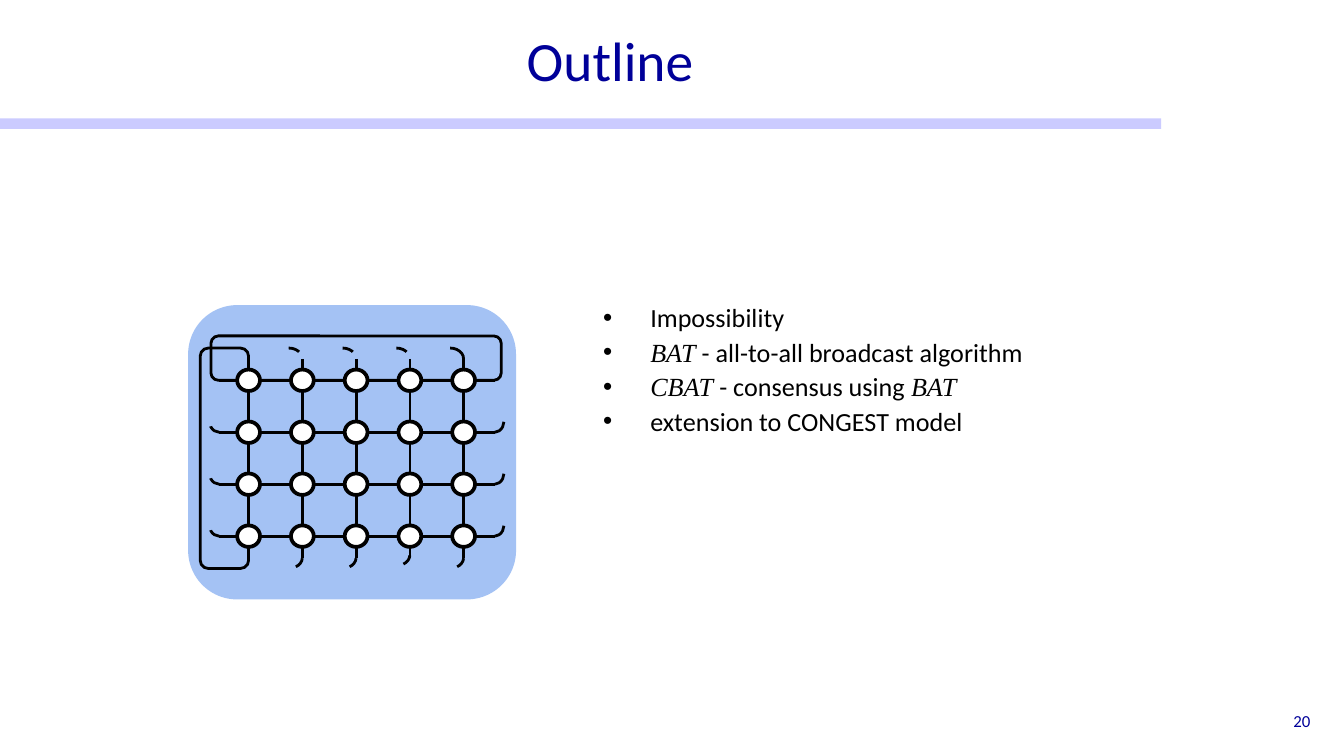
from dataclasses import dataclass
from typing import Any

from lxml.etree import SubElement
from pptx import Presentation
from pptx.dml.color import RGBColor
from pptx.enum.dml import MSO_LINE as Dash
from pptx.enum.shapes import MSO_CONNECTOR as Link, MSO_SHAPE as Kind
from pptx.enum.text import MSO_ANCHOR as Anchor, MSO_AUTO_SIZE as Fit, PP_ALIGN as Align
from pptx.oxml.ns import qn
from pptx.util import Inches, Pt

NAVY, BLACK, WHITE = "000099", "000000", "FFFFFF"
SANS, SERIF = "Calibri", "Times New Roman"
COLUMNS = [1.85 + 0.4 * column for column in range(5)]
ROWS = [2.83 + (3.99 - 2.83) / 3 * row for row in range(4)]
NODE_W, NODE_H = 0.17, 0.16
HALF_W, HALF_H = NODE_W / 2, NODE_H / 2
ARC_UNITS_PER_DEGREE = 0.6


@dataclass(frozen=True)
class Area:
    left: float
    top: float
    width: float
    height: float

    def lengths(self) -> list[int]:
        return [Inches(n) for n in (self.left, self.top, self.width, self.height)]


@dataclass(frozen=True)
class Curve:
    width: float
    start: float
    end: float
    dash: Any = Dash.DASH


@dataclass(frozen=True)
class Span:
    text: str
    italic: bool = False


TOP_CURVE = Curve(0.2, 269.3, 1)
TOP_LAST_CURVE = Curve(0.2, 269.3, 1, Dash.LONG_DASH)
BOTTOM_CURVE = Curve(0.2, 2.2, 88.4)
LEFT_CURVE = Curve(0.14, 87.6, 178.4)
RIGHT_CURVE = Curve(0.14, 2, 87.9, Dash.LONG_DASH)

TOPICS = [
    [Span("Impossibility")],
    [Span("BAT", True), Span(" - all-to-all broadcast algorithm")],
    [Span("CBAT", True), Span(" - consensus using "), Span("BAT", True)],
    [Span("extension to CONGEST model")],
]


def color(value: str) -> RGBColor:
    return RGBColor.from_string(value)


def apply(target: Any, values: dict[str, Any]) -> None:
    for name, value in values.items():
        setattr(target, name, value)


def add_span(para: Any, text: str, size: float, ink: str, font: str = SANS, italic: bool = False) -> None:
    span = para.add_run()
    span.text = text
    apply(span.font, {"name": font, "size": Pt(size), "italic": italic})
    span.font.color.rgb = color(ink)


def set_frame(frame: Any, anchor: Any, across: float, top: float, bottom: float) -> None:
    apply(frame, {
        "word_wrap": True, "auto_size": Fit.NONE, "vertical_anchor": anchor,
        "margin_left": Inches(across), "margin_right": Inches(across),
        "margin_top": Inches(top), "margin_bottom": Inches(bottom),
    })


def add_figure(parent: Any, kind: Any, area: Area, fill: str = "", line: float = 0) -> Any:
    figure = parent.shapes.add_shape(kind, *area.lengths())
    figure.shadow.inherit = False
    if fill:
        figure.fill.solid()
        figure.fill.fore_color.rgb = color(fill)
    else:
        figure.fill.background()
    if line:
        figure.line.color.rgb = color(BLACK)
        figure.line.width = Pt(line)
    else:
        figure.line.fill.background()
    return figure


def add_edge(parent: Any, x1: float, y1: float, x2: float, y2: float) -> None:
    ends = [Inches(n) for n in (x1, y1, x2, y2)]
    edge = parent.shapes.add_connector(Link.STRAIGHT, *ends)
    edge.line.color.rgb = color(BLACK)
    edge.line.width = Pt(1.5)
    SubElement(edge._element.spPr, qn("a:effectLst"))


def add_curve(parent: Any, left: float, top: float, curve: Curve) -> None:
    arc = add_figure(parent, Kind.ARC, Area(left, top, curve.width, 0.16), line=1.5)
    arc.adjustments[0] = curve.start * ARC_UNITS_PER_DEGREE
    arc.adjustments[1] = curve.end * ARC_UNITS_PER_DEGREE
    arc.line.dash_style = curve.dash


def add_torus(page: Any) -> None:
    torus = page.shapes.add_group_shape()
    add_figure(torus, Kind.ROUNDED_RECTANGLE, Area(1.4, 2.27, 2.44, 2.19), "A4C2F4")
    for loop in (Area(1.57, 2.5, 2.16, 0.33), Area(1.49, 2.59, 0.36, 1.64)):
        add_figure(torus, Kind.ROUNDED_RECTANGLE, loop, line=1.5)

    for y in ROWS:
        stops = [1.63 - HALF_W, *COLUMNS, 3.68 + HALF_W]
        for x1, x2 in zip(stops, stops[1:]):
            add_edge(torus, x1 + HALF_W, y, x2 - HALF_W, y)
    for x in COLUMNS:
        stops = [2.67 - HALF_H, *ROWS, 4.15 + HALF_H]
        for y1, y2 in zip(stops, stops[1:]):
            add_edge(torus, x, y1 + HALF_H, x, y2 - HALF_H)
        for y in ROWS:
            add_figure(torus, Kind.OVAL, Area(x - HALF_W, y - HALF_H, NODE_W, NODE_H), WHITE, 2)

    for x in COLUMNS[1:]:
        is_last = x == COLUMNS[-1]
        add_curve(torus, x - 0.2, 2.59, TOP_LAST_CURVE if is_last else TOP_CURVE)
        add_curve(torus, x - 0.2, 4.05 if x == COLUMNS[3] else 4.07, BOTTOM_CURVE)
    for y in ROWS[1:]:
        add_curve(torus, 1.56, y - 0.16, LEFT_CURVE)
        add_curve(torus, 3.61, y - 0.16, RIGHT_CURVE)


def add_title(page: Any) -> None:
    title = page.shapes.title
    area = Area(0.5, 0.34, 8.08, 0.4)
    apply(title, dict(zip(("left", "top", "width", "height"), area.lengths())))
    set_frame(title.text_frame, Anchor.BOTTOM, 0.1, 0.05, 0.05)
    para = title.text_frame.paragraphs[0]
    apply(para, {"alignment": Align.CENTER, "line_spacing": 1.1})
    add_span(para, "Outline", 29.7, NAVY)


def add_bullet(para: Any) -> None:
    props = para._p.get_or_add_pPr()
    props.set("marL", str(Inches(1)))
    props.set("indent", str(Inches(-0.35)))
    tint = SubElement(props, qn("a:buClr"))
    SubElement(tint, qn("a:srgbClr"), val=BLACK)
    SubElement(props, qn("a:buFont"), typeface="Arial")
    SubElement(props, qn("a:buChar"), char="•")


def add_topics(page: Any) -> None:
    box = page.shapes.add_textbox(*Area(3.74, 1.94, 4.84, 2.44).lengths())
    frame = box.text_frame
    set_frame(frame, Anchor.TOP, 0.1, 0.28, 0.05)
    for index, spans in enumerate(TOPICS):
        para = frame.add_paragraph() if index else frame.paragraphs[0]
        apply(para, {"level": 1, "line_spacing": 1.1, "alignment": Align.LEFT})
        add_bullet(para)
        for span in spans:
            add_span(para, span.text, 14, BLACK, SERIF if span.italic else SANS, span.italic)


def add_page_number(page: Any) -> None:
    box = page.shapes.add_textbox(*Area(7.57, 5.21, 2.25, 0.3).lengths())
    set_frame(box.text_frame, Anchor.MIDDLE, 0.07, 0.04, 0.04)
    para = box.text_frame.paragraphs[0]
    para.alignment = Align.RIGHT
    add_span(para, "20", 9, NAVY)


def main() -> None:
    deck = Presentation()
    apply(deck, {"slide_width": Inches(10), "slide_height": Inches(10) * 9 // 16})
    page = deck.slides.add_slide(deck.slide_layouts[5])
    rule = add_figure(page, Kind.RECTANGLE, Area(0, 0.88, 8.64, 0.08), "9999FF")
    tint = rule._element.spPr.find(qn("a:solidFill")).find(qn("a:srgbClr"))
    SubElement(tint, qn("a:alpha"), val="50000")
    add_title(page)
    add_topics(page)
    add_page_number(page)
    add_torus(page)
    deck.save("out.pptx")


if __name__ == "__main__":
    main()
